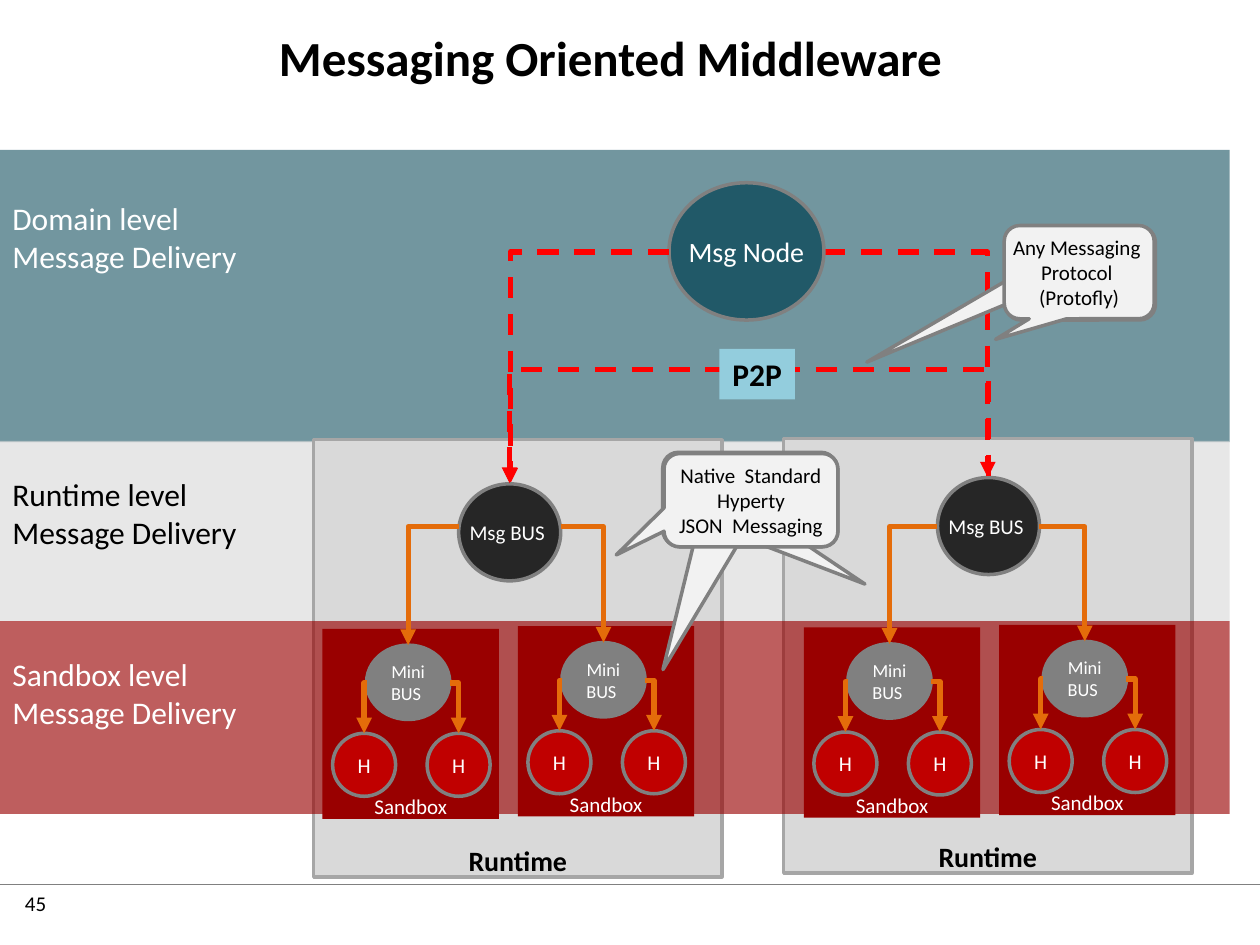
from copy import deepcopy

from lxml.etree import SubElement
from pptx import Presentation
from pptx.dml.color import RGBColor
from pptx.enum.dml import MSO_LINE
from pptx.enum.shapes import MSO_CONNECTOR, MSO_SHAPE
from pptx.enum.text import MSO_ANCHOR, PP_ALIGN
from pptx.oxml.ns import qn
from pptx.util import Inches, Pt

THEME = {
    "colour": {
        "black": "000000", "white": "FFFFFF", "teal": "215968", "silver": "D9D9D9",
        "edge": "A6A6A6", "gray": "808080", "dark": "262626", "maroon": "990000",
        "red": "C00000", "signal": "FF0000", "orange": "E46C0A", "pale": "F2F2F2",
        "sky": "93CDDD",
    },
    "font": "Calibri",
    "size": {"title": 28, "level": 18, "node": 16, "label": 12, "mini": 10.5},
}
COLOUR = {name: RGBColor.from_string(code) for name, code in THEME["colour"].items()}


def add_box(kind, at, fill=None, line=None, text="", size="label", ink="white",
            bold=False, anchor=MSO_ANCHOR.MIDDLE, align=PP_ALIGN.CENTER, alpha=None):
    place = [Inches(value) for value in at]
    if kind is None:
        box = page.shapes.add_textbox(*place)
    else:
        box = page.shapes.add_shape(kind, *place)
        box.shadow.inherit = False
        box.fill.solid()
        box.fill.fore_color.rgb = COLOUR[fill]
        if line:
            box.line.color.rgb = COLOUR[line]
            box.line.width = Pt(2)
        else:
            box.line.fill.background()
    if alpha:
        tint = box.fill._xPr.find(qn("a:solidFill"))[0]
        SubElement(tint, qn("a:alpha"), val=str(alpha * 1000))
    if text:
        frame = box.text_frame
        frame_format = {"word_wrap": kind is None, "vertical_anchor": anchor}
        if kind is not None:
            frame_format |= dict.fromkeys(
                ("margin_left", "margin_top", "margin_right", "margin_bottom"), 0)
        for name, value in frame_format.items():
            setattr(frame, name, value)
        para = frame.paragraphs[0]
        para.text = text
        para.alignment = align
        font_format = {"name": THEME["font"], "size": Pt(THEME["size"][size]), "bold": bold}
        for span in para.runs:
            for name, value in font_format.items():
                setattr(span.font, name, value)
            span.font.color.rgb = COLOUR[ink]
        for line_break in para._p.findall(qn("a:br")):
            line_break.append(deepcopy(para.runs[0]._r.rPr))
    return box


def add_link(start, end, colour, width=3, preset="bentConnector2", arrow="tailEnd", dash=None):
    points = [Inches(value) for value in (*start, *end)]
    link = page.shapes.add_connector(MSO_CONNECTOR.ELBOW, *points)
    link.line.color.rgb = COLOUR[colour]
    link.line.width = Pt(width)
    if dash:
        link.line.dash_style = dash
    properties = link._element.spPr
    properties.find(qn("a:prstGeom")).set("prst", preset)
    if arrow:
        SubElement(properties.find(qn("a:ln")), qn(f"a:{arrow}"), type="triangle")
    SubElement(properties, qn("a:effectLst"))
    return link


deck = Presentation()
deck.slide_width = Inches(10)
deck.slide_height = Inches(7.5)
page = deck.slides.add_slide(deck.slide_layouts[6])

add_box(None, (0.1, 7.02, 0.8, 0.4), text="45", ink="black",
        anchor=MSO_ANCHOR.TOP, align=PP_ALIGN.LEFT)
add_link((0, 7.02), (10, 7.02), "gray", width=0.75, preset="line", arrow=None)

add_box(MSO_SHAPE.RECTANGLE, (0, 1.19, 9.76, 2.32), "teal", alpha=63)
add_box(MSO_SHAPE.RECTANGLE, (0, 3.5, 9.76, 1.43), "silver", alpha=63)
for at in ((2.49, 3.49, 3.24, 3.47), (6.22, 3.48, 3.24, 3.45)):
    add_box(MSO_SHAPE.RECTANGLE, at, "silver", "edge", "Runtime", "node", "black",
            bold=True, anchor=MSO_ANCHOR.BOTTOM)
add_box(MSO_SHAPE.RECTANGLE, (0, 4.93, 9.76, 1.53), "maroon", alpha=63)

add_box(None, (0.91, 0.19, 7.87, 0.52), text="Messaging Oriented Middleware",
        size="title", ink="black", bold=True)
for level, top, ink in (("Domain", 1.53, "white"), ("Runtime", 3.72, "black"),
                        ("Sandbox", 5.15, "white")):
    add_box(None, (0, top, 2.27, 0.71), text=f"{level} level Message Delivery",
            size="level", ink=ink, anchor=MSO_ANCHOR.TOP, align=PP_ALIGN.LEFT)

add_link((6.54, 2), (7.84, 3.79), "signal", dash=MSO_LINE.DASH)
add_box(MSO_SHAPE.OVAL, (5.31, 1.45, 1.23, 1.09), "teal", "gray", "Msg Node", "node")
add_link((5.31, 2), (4.05, 3.84), "signal", dash=MSO_LINE.DASH)

buses = (
    (3.64, 3.84, ((2.56, 4.99), (4.11, 4.97))),
    (7.44, 3.79, ((6.38, 4.98), (7.93, 4.96))),
)
for bus_left, bus_top, sandboxes in buses:
    add_box(MSO_SHAPE.OVAL, (bus_left, bus_top, 0.81, 0.77), "dark", "gray", "Msg BUS ")
    for bus_side, (left, top) in zip((bus_left, bus_left + 0.81), sandboxes):
        add_box(MSO_SHAPE.RECTANGLE, (left, top, 1.4, 1.51), "maroon",
                text="Sandbox", anchor=MSO_ANCHOR.BOTTOM)
        mini_left, mini_top = left + 0.35, top + 0.13
        add_box(MSO_SHAPE.OVAL, (mini_left, mini_top, 0.66, 0.59), "gray", "gray",
                "Mini\nBUS ", "mini")
        add_link((bus_side, 4.18), (mini_left + 0.33, mini_top), "orange")
        for mini_side, offset in ((mini_left, 0.08), (mini_left + 0.66, 0.83)):
            add_box(MSO_SHAPE.OVAL, (left + offset, top + 0.83, 0.5, 0.5), "red", "gray", "H")
            add_link((mini_side, mini_top + 0.3), (left + offset + 0.25, top + 0.83), "orange")

peer_link = add_link((5.97, 5.71), (5.92, 1.91), "signal", preset="bentConnector3",
                     arrow="headEnd", dash=MSO_LINE.DASH)
peer_link._element.spPr.find(qn("a:xfrm")).set("rot", "5400000")
geometry = peer_link._element.spPr.find(qn("a:prstGeom"))
guides = geometry.find(qn("a:avLst"))
if guides is None:
    guides = SubElement(geometry, qn("a:avLst"))
SubElement(guides, qn("a:gd"), name="adj1", fmla="val 1800000")

native_text = "Native  Standard\nHyperty\nJSON  Messaging"
protocol_text = "Any Messaging \nProtocol \n(Protofly)"
callouts = (
    ((5.27, 3.6, 1.38, 0.74), (-0.506, 1.817), ""),
    ((5.26, 3.59, 1.38, 0.74), (0.663, 0.913), ""),
    ((5.27, 3.6, 1.38, 0.74), (-0.775, 0.587), native_text),
    ((7.98, 1.8, 1.19, 0.74), (-1.425, 0.952), ""),
    ((7.97, 1.79, 1.19, 0.74), (-0.558, 0.721), protocol_text),
)
for at, tip, text in callouts:
    callout = add_box(MSO_SHAPE.ROUNDED_RECTANGULAR_CALLOUT, at, "pale", "gray", text, ink="black")
    for index, value in enumerate(tip):
        callout.adjustments[index] = value

add_box(MSO_SHAPE.RECTANGLE, (5.71, 2.77, 0.6, 0.4), "sky", text="P2P",
        size="level", ink="black", bold=True)

deck.save("out.pptx")
